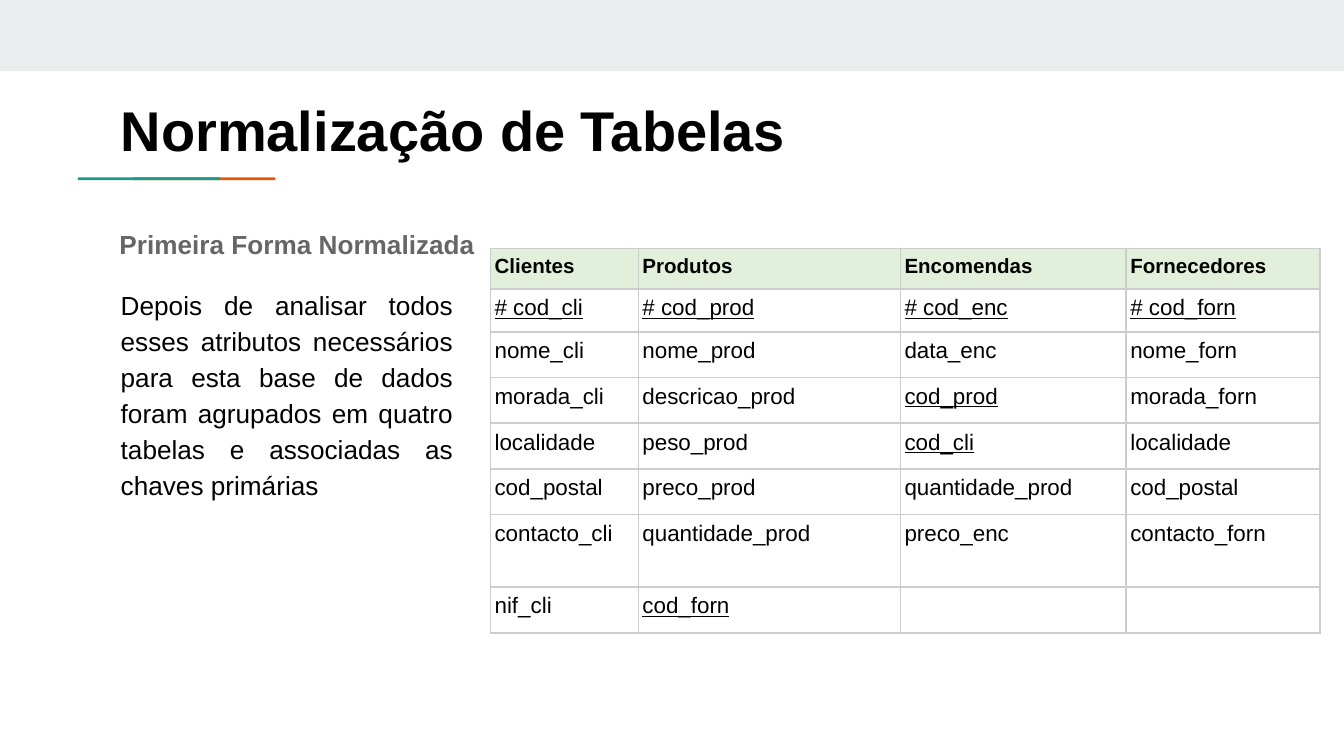
from dataclasses import dataclass

from lxml.etree import SubElement
from pptx import Presentation
from pptx.dml.color import RGBColor as RGB
from pptx.enum.shapes import MSO_SHAPE as Shape
from pptx.enum.text import MSO_ANCHOR as Anchor, PP_ALIGN as Align
from pptx.oxml.ns import qn
from pptx.util import Inches, Pt


@dataclass(frozen=True)
class Theme:
    font: str = "Arial"
    text: str = "000000"
    muted: str = "666666"
    band: str = "E9EDEE"
    green: str = "1A9988"
    orange: str = "EB5600"
    header: str = "E2EFDA"
    cell: str = "FFFFFF"
    border: str = "CCCCCC"
    title_size: int = 30
    body_size: int = 14
    header_size: int = 11
    cell_size: int = 12


THEME = Theme()

SLIDE_WIDTH = Inches(10)
SLIDE_HEIGHT = SLIDE_WIDTH * 9 // 16
COLUMN_WIDTHS = [1.1, 1.95, 1.68, 1.44]
ROW_HEIGHTS = [0.3, 0.32, 0.34, 0.34, 0.34, 0.34, 0.54, 0.34]
FOREIGN_KEYS = {"cod_prod", "cod_cli", "cod_forn"}
ENTITIES = [
    ["Clientes", "Produtos", "Encomendas", "Fornecedores"],
    ["# cod_cli", "# cod_prod", "# cod_enc", "# cod_forn"],
    ["nome_cli", "nome_prod", "data_enc", "nome_forn"],
    ["morada_cli", "descricao_prod", "cod_prod", "morada_forn"],
    ["localidade", "peso_prod", "cod_cli", "localidade"],
    ["cod_postal", "preco_prod", "quantidade_prod", "cod_postal"],
    ["contacto_cli", "quantidade_prod", "preco_enc", "contacto_forn"],
    ["nif_cli", "cod_forn", "", ""],
]


def set_all(target, values):
    for name, value in values.items():
        setattr(target, name, value)


def write(paragraph, text, size, color=THEME.text, bold=False, underline=False, **layout):
    set_all(paragraph, layout)
    paragraph.text = text
    font = paragraph.runs[0].font if text else paragraph.font
    set_all(font, {"name": THEME.font, "size": Pt(size), "bold": bold, "underline": underline})
    font.color.rgb = RGB.from_string(color)


def add_bar(slide, left, top, width, height, color):
    bar = slide.shapes.add_shape(
        Shape.RECTANGLE, Inches(left), Inches(top), Inches(width), Inches(height))
    bar.shadow.inherit = False
    bar.fill.solid()
    bar.fill.fore_color.rgb = RGB.from_string(color)
    bar.line.fill.background()


def add_text(slide, left, top, width, height, text, size, **style):
    frame = slide.shapes.add_textbox(
        Inches(left), Inches(top), Inches(width), Inches(height)).text_frame
    margins = {f"margin_{side}": Inches(0.1) for side in ("left", "top", "right", "bottom")}
    set_all(frame, {"word_wrap": True, "vertical_anchor": Anchor.TOP, **margins})
    write(frame.paragraphs[0], text, size, **style)


def add_borders(cell):
    properties = cell._tc.get_or_add_tcPr()
    for side in ("a:lnL", "a:lnR", "a:lnT", "a:lnB"):
        line = SubElement(properties, qn(side), w=str(Pt(1)))
        fill = SubElement(line, qn("a:solidFill"))
        SubElement(fill, qn("a:srgbClr"), val=THEME.border)


def fill_cell(cell, text, is_header):
    set_all(cell, {
        "margin_left": Inches(0.03), "margin_right": Inches(0.03),
        "margin_top": Inches(0.02), "margin_bottom": Inches(0.02),
        "vertical_anchor": Anchor.TOP,
    })
    add_borders(cell)
    cell.fill.solid()
    cell.fill.fore_color.rgb = RGB.from_string(THEME.header if is_header else THEME.cell)
    write(cell.text_frame.paragraphs[0], text,
          THEME.header_size if is_header else THEME.cell_size,
          bold=is_header, underline=text.startswith("#") or text in FOREIGN_KEYS,
          line_spacing=1.15, space_before=Pt(12))


def add_entity_table(slide, left, top):
    table = slide.shapes.add_table(
        len(ROW_HEIGHTS), len(COLUMN_WIDTHS), Inches(left), Inches(top),
        Inches(sum(COLUMN_WIDTHS)), Inches(sum(ROW_HEIGHTS))).table
    set_all(table, {"first_row": False, "horz_banding": False})
    for column, width in zip(table.columns, COLUMN_WIDTHS):
        column.width = Inches(width)
    for row, height in zip(table.rows, ROW_HEIGHTS):
        row.height = Inches(height)
    for r, names in enumerate(ENTITIES):
        for c, name in enumerate(names):
            fill_cell(table.cell(r, c), name, is_header=r == 0)


def main():
    deck = Presentation()
    set_all(deck, {"slide_width": SLIDE_WIDTH, "slide_height": SLIDE_HEIGHT})
    slide = deck.slides.add_slide(deck.slide_layouts[6])

    add_bar(slide, 0, 0, 10, 0.53, THEME.band)
    add_bar(slide, 0.99, 1.32, 1.06, 0.02, THEME.orange)
    add_bar(slide, 0.58, 1.32, 1.06, 0.02, THEME.green)

    add_text(slide, 0.8, 0.61, 8.41, 0.59, "Normalização de Tabelas",
             THEME.title_size, bold=True)
    add_text(slide, 0.8, 2.02, 2.67, 3.29,
             "Depois de analisar todos esses atributos necessários para esta base de dados "
             "foram agrupados em quatro tabelas e associadas as chaves primárias",
             THEME.body_size, alignment=Align.JUSTIFY, line_spacing=1.15,
             space_before=Pt(12), space_after=Pt(12))
    add_text(slide, 0.79, 1.6, 8.41, 0.42, "Primeira Forma Normalizada",
             THEME.body_size, color=THEME.muted, bold=True)
    add_entity_table(slide, 3.65, 1.85)

    deck.save("out.pptx")


if __name__ == "__main__":
    main()
